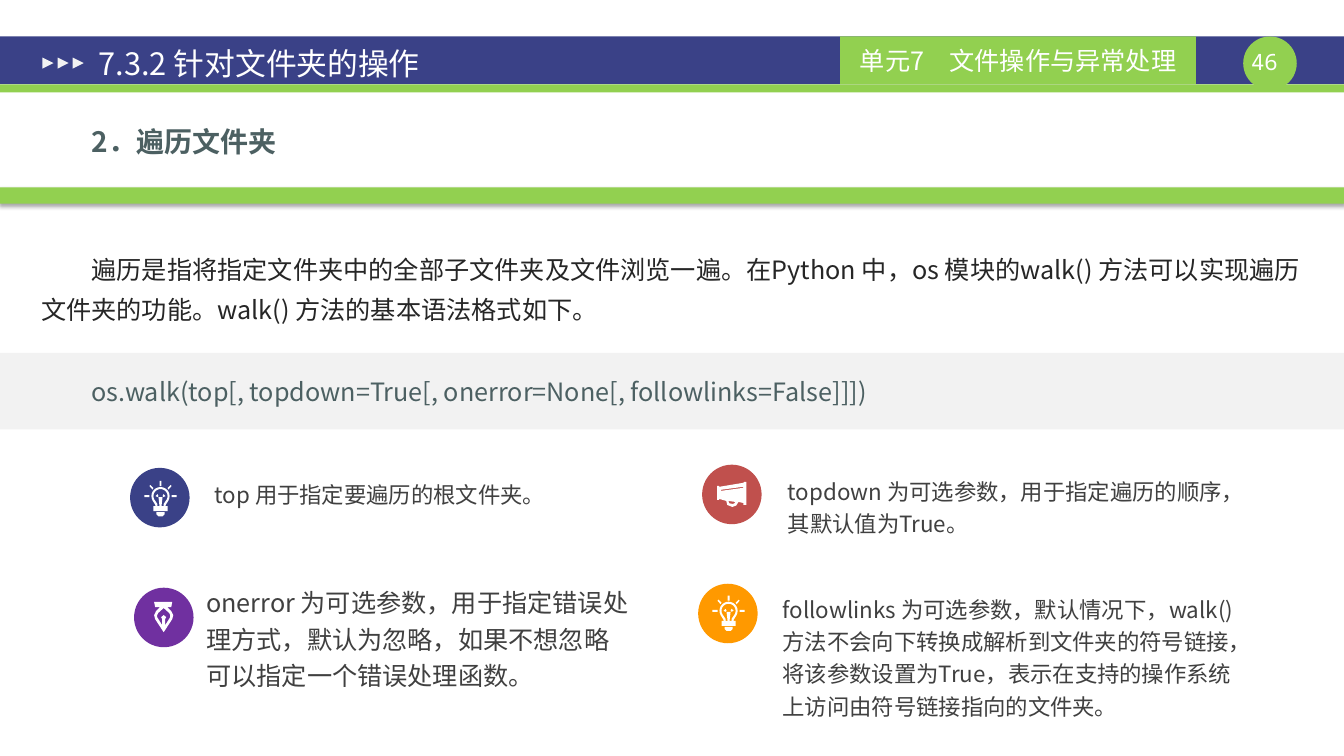
import math

import pptx
import pptx.dml.color
import pptx.enum.shapes
import pptx.enum.text
import pptx.oxml
import pptx.oxml.ns
import pptx.util

Cm = pptx.util.Cm
Pt = pptx.util.Pt
SHAPE = pptx.enum.shapes.MSO_SHAPE
ALIGN = pptx.enum.text.PP_ALIGN
ANCHOR = pptx.enum.text.MSO_ANCHOR
SANS = "Noto Sans CJK SC"
COLORS = {
    "navy": "3A4187", "green": "92D050", "red": "C0504D", "purple": "7030A0",
    "orange": "FF9900", "white": "FFFFFF", "pale": "F2F2F2", "slate": "4C6062",
    "ink": "262626", "grey": "404040",
}

presentation = pptx.Presentation()
presentation.slide_width = Cm(33.88)
presentation.slide_height = Cm(19.05)
slide = presentation.slides.add_slide(presentation.slide_layouts[5])


def add_filled(kind, left, top, width, height, color):
    shape = slide.shapes.add_shape(kind, Cm(left), Cm(top), Cm(width), Cm(height))
    shape.shadow.inherit = False
    shape.fill.solid()
    shape.fill.fore_color.rgb = pptx.dml.color.RGBColor.from_string(COLORS[color])
    shape.line.fill.background()
    return shape


def write(shape, text, size, color, align=ALIGN.LEFT, anchor=ANCHOR.TOP,
          spacing=1.0, indent=0, bold=False, font_name=SANS):
    frame = shape.text_frame
    frame.word_wrap = True
    frame.vertical_anchor = anchor
    paragraph = frame.paragraphs[0]
    paragraph.text = text
    paragraph.alignment = align
    paragraph.line_spacing = spacing
    paragraph._p.get_or_add_pPr().set("indent", str(Cm(indent)))
    font = paragraph.font
    font.name = font_name
    font.size = Pt(size)
    font.bold = bold
    font.color.rgb = pptx.dml.color.RGBColor.from_string(COLORS[color])
    properties = paragraph._p.find(".//" + pptx.oxml.ns.qn("a:defRPr"))
    properties.append(pptx.oxml.parse_xml(
        f'<a:ea {pptx.oxml.ns.nsdecls("a")} typeface="{font_name}"/>'))


# Header band with chapter label, page number and arrows
add_filled(SHAPE.RECTANGLE, 0, 0.92, 33.88, 1.2, "navy")
add_filled(SHAPE.RECTANGLE, 0, 2.13, 33.88, 0.2, "green")
page = add_filled(SHAPE.OVAL, 31.34, 0.92, 1.35, 1.35, "green")
page_number = slide.shapes.add_textbox(Cm(31.2), Cm(1.22), Cm(1.35), Cm(0.69))
number_frame = page_number.text_frame
number_frame.margin_left = number_frame.margin_right = 0
number_frame.margin_top = number_frame.margin_bottom = 0
write(page_number, "46", 16, "white", ALIGN.CENTER, font_name="Noto Sans Mono")
chapter = add_filled(SHAPE.RECTANGLE, 21.18, 0.92, 8.97, 1.2, "green")
write(chapter, "单元7　文件操作与异常处理", 18, "white", ALIGN.CENTER, ANCHOR.MIDDLE)
for index in range(3):
    arrow = add_filled(SHAPE.ISOSCELES_TRIANGLE, 1.07 + 0.38 * index, 1.45,
                       0.28, 0.28, "pale")
    arrow.rotation = 90

# Title, brought in front of the header band
title = slide.shapes.title
title.left, title.top, title.width, title.height = Cm(2.16), Cm(1.02), Cm(18.29), Cm(1.12)
title.text_frame.margin_left = title.text_frame.margin_right = Cm(0.33)
title.text_frame.margin_top = title.text_frame.margin_bottom = Cm(0.18)
write(title, "7.3.2 针对文件夹的操作", 22, "white", anchor=ANCHOR.MIDDLE)
slide.shapes._spTree.append(title._element)

# Section heading and its shadowed rule
heading = slide.shapes.add_textbox(Cm(0.79), Cm(2.74), Cm(31.7), Cm(1.27))
write(heading, "2．遍历文件夹", 20, "slate", spacing=1.32, indent=1.27, bold=True)
rule = add_filled(SHAPE.RECTANGLE, 0, 4.72, 33.88, 0.41, "green")
effects = rule._element.spPr.find(pptx.oxml.ns.qn("a:effectLst"))
effects.append(pptx.oxml.parse_xml(
    f'<a:outerShdw {pptx.oxml.ns.nsdecls("a")} blurRad="{Pt(3.1)}" dist="{Pt(1.8)}" '
    'dir="5400000" rotWithShape="0"><a:srgbClr val="000000">'
    '<a:alpha val="35000"/></a:srgbClr></a:outerShdw>'))

# Introduction and syntax
intro = slide.shapes.add_textbox(Cm(0.79), Cm(6.05), Cm(32.44), Cm(2.4))
write(intro, "遍历是指将指定文件夹中的全部子文件夹及文件浏览一遍。在Python 中，os 模块的walk() "
      "方法可以实现遍历文件夹的功能。walk() 方法的基本语法格式如下。",
      18, "ink", spacing=1.32, indent=1.27)
syntax = add_filled(SHAPE.RECTANGLE, 0, 8.89, 33.88, 1.93, "pale")
syntax.text_frame.margin_left = Cm(2.31)
write(syntax, "os.walk(top[, topdown=True[, onerror=None[, followlinks=False]]])",
      18, "slate", anchor=ANCHOR.MIDDLE)


# Icon outlines, in hundredths of an inch from the icon's corner
bulb = [
    [(12, 31), (20, 31), (20, 33), (18, 35), (14, 35), (12, 33)],
    [(15, 0), (17, 0), (17, 5), (15, 5)],
    [(14, 16), (18, 16), (17, 25), (15, 25)],
]
for radius, neck in (
    (9, [(21, 24), (21, 25), (23, 25), (23, 30), (9, 30), (9, 25), (11, 25), (11, 24)]),
    (7, [(19, 23), (19, 25), (13, 25), (13, 23)]),
):
    arc = [(16 + radius * math.cos(math.radians(angle)),
            15 + radius * math.sin(math.radians(angle)))
           for angle in range(150, 391, 15)]
    bulb.append(arc + neck)
for ray in ([(0, 14), (5, 14), (5, 16), (0, 16)],
            [(5, 5), (6, 4), (9, 7), (8, 8.5)],
            [(11, 15), (13, 13), (14, 15), (13, 16)]):
    bulb += [ray, [(32 - x, y) for x, y in ray]]
megaphone = [
    [(29, 0), (27, 0), (26, 1), (2, 5), (2, 4), (0, 4), (0, 18), (2, 18), (2, 17),
     (9, 19), (10, 23), (15, 25), (19, 23.5), (21, 20), (26, 21), (26, 23), (29, 23)],
    [(11, 19), (18, 20), (17, 21.5), (15, 22), (12, 21.3)],
    [(26, 6), (4, 9), (3.5, 8), (25.5, 5)],
]
pen = [
    [(1, 0), (19, 0), (18, 5), (14, 5), (18, 9), (20, 13), (19, 17), (10.5, 30),
     (2, 17), (1, 13), (3, 9), (7, 5), (2, 5)],
    [(10.5, 6), (16, 11), (17, 13), (17, 15), (12, 23), (12, 17), (13, 15),
     (10.5, 13), (8, 15), (9, 17), (9, 23), (4, 15), (4, 13), (5, 11)],
]

# Parameters: badge, icon offset, text box and wording
parameters = [
    (3.28, 11.79, "navy", bulb, 0.36, 0.33, 5.16, 11.86, 25.76, 16,
     "top 用于指定要遍历的根文件夹。"),
    (17.7, 11.71, "red", megaphone, 0.38, 0.43, 19.61, 11.79, 12.14, 16,
     "topdown 为可选参数，用于指定遍历的顺序，其默认值为True。"),
    (3.38, 14.81, "purple", pen, 0.48, 0.36, 4.95, 14.53, 11.15, 18,
     "onerror 为可选参数，用于指定错误处理方式，默认为忽略，如果不想忽略可以指定一个错误处理函数。"),
    (17.6, 14.71, "orange", bulb, 0.36, 0.3, 19.48, 14.76, 12.29, 16,
     "followlinks 为可选参数，默认情况下，walk() 方法不会向下转换成解析到文件夹的符号链接，"
     "将该参数设置为True，表示在支持的操作系统上访问由符号链接指向的文件夹。"),
]
unit = pptx.util.Inches(0.01)
for left, top, color, icon, dx, dy, text_left, text_top, width, size, text in parameters:
    add_filled(SHAPE.OVAL, left, top, 1.5, 1.5, color)
    contours = [[(x * unit, y * unit) for x, y in contour] for contour in icon]
    builder = slide.shapes.build_freeform(*contours[0][0])
    for number, contour in enumerate(contours):
        if number:
            builder.move_to(*contour[0])
        builder.add_line_segments(contour[1:], close=True)
    symbol = builder.convert_to_shape(Cm(left + dx), Cm(top + dy))
    symbol.shadow.inherit = False
    symbol.fill.solid()
    symbol.fill.fore_color.rgb = pptx.dml.color.RGBColor.from_string(COLORS["white"])
    symbol.line.fill.background()
    label = slide.shapes.add_textbox(Cm(text_left), Cm(text_top), Cm(width), Cm(1.02))
    write(label, text, size, "grey", spacing=1.2)

presentation.save("out.pptx")
